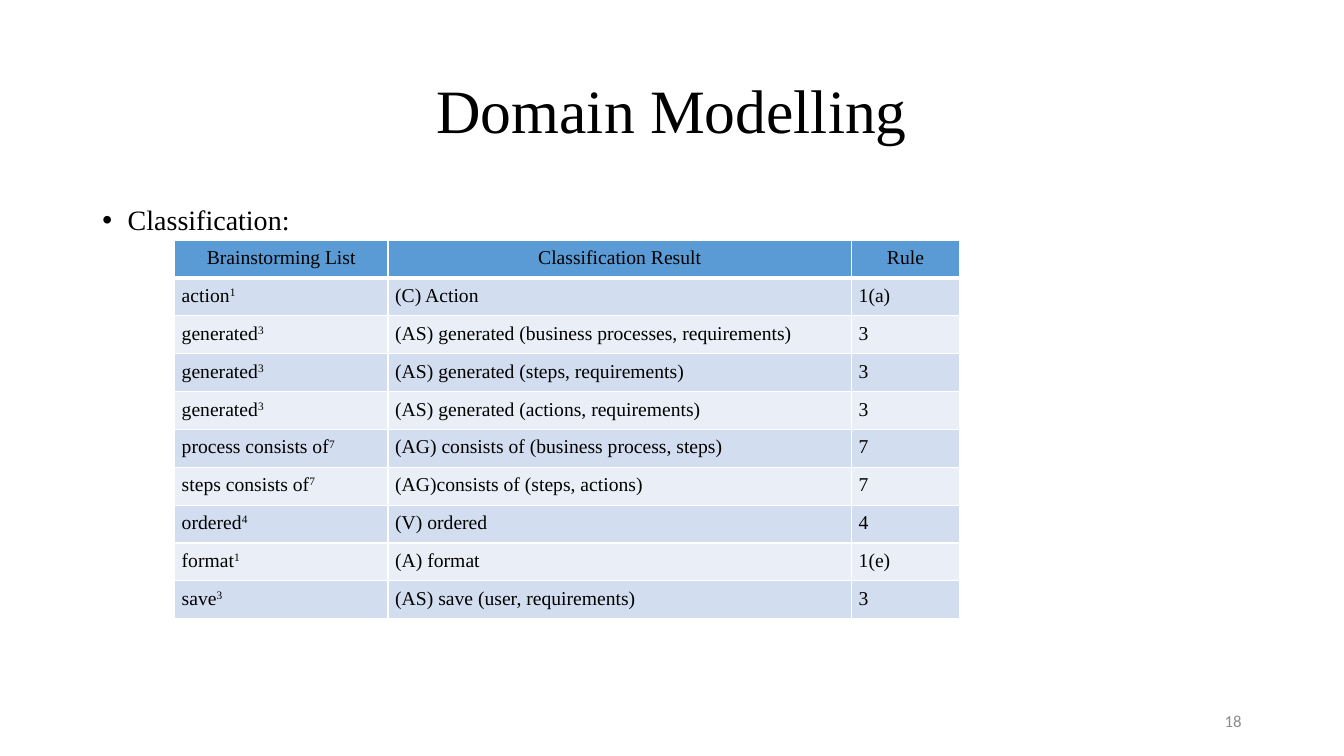
from lxml import etree
from pptx import Presentation
from pptx.enum import text as t
from pptx.dml.color import RGBColor
from pptx.oxml import ns
from pptx.util import Cm, Pt

TITLE = "Domain Modelling"
LEAD = "Classification:"
PAGE = "18"
HEADINGS = ["Brainstorming List", "Classification Result", "Rule"]
# Term, result, rule; the term's superscript is the rule's number
ROWS = [
    ("action", "(C) Action", "1(a)"),
    ("generated", "(AS) generated (business processes, requirements)", "3"),
    ("generated", "(AS) generated (steps, requirements)", "3"),
    ("generated", "(AS) generated (actions, requirements)", "3"),
    ("process consists of", "(AG) consists of (business process, steps)", "7"),
    ("steps consists of", "(AG)consists of (steps, actions)", "7"),
    ("ordered", "(V) ordered", "4"),
    ("format", "(A) format", "1(e)"),
    ("save", "(AS) save (user, requirements)", "3"),
]
COLORS = {"ink": "000000", "page": "8C8C8C", "head": "5B9BD5",
          "odd": "D2DEEF", "even": "EAEFF7", "rule": "FFFFFF"}
SERIF, SANS = "Times New Roman", "Calibri"
COLUMNS = [5.38, 11.68, 2.72]
ROW_HEIGHT = 0.92
LEFT, WIDTH = 2.33, 29.21


def write(frame, words, size=14, font=SERIF, color="ink",
          align=t.PP_ALIGN.LEFT, spacing=1.0, raised=""):
    """Fill the frame's paragraph, with an optional superscript at its end."""
    line = frame.paragraphs[0]
    line.alignment, line.line_spacing = align, spacing
    for part in filter(None, (words, raised)):
        run = line.add_run()
        run.text = part
        run.font.size, run.font.name, run.font.bold = Pt(size), font, False
        run.font.color.rgb = RGBColor.from_string(COLORS[color])
    if raised:
        run.font._element.set("baseline", "30000")
    return line


def add_borders(cell, bottom, top):
    """Draw white cell borders; they stand before the fill in the XML."""
    props = cell._tc.get_or_add_tcPr()
    sides = {"lnL": 1, "lnR": 1, "lnT": top, "lnB": bottom}
    for place, (side, width) in enumerate(sides.items()):
        border = etree.Element(ns.qn("a:" + side), w=str(Pt(width)))
        fill = etree.SubElement(border, ns.qn("a:solidFill"))
        etree.SubElement(fill, ns.qn("a:srgbClr"), val=COLORS["rule"])
        props.insert(place, border)


deck = Presentation()
deck.slide_width, deck.slide_height = Cm(33.87), Cm(19.05)
slide = deck.slides.add_slide(deck.slide_layouts[5])

# Title
title = slide.shapes.title
title.left, title.top, title.width, title.height = (
    Cm(LEFT), Cm(1.01), Cm(WIDTH), Cm(3.68))
title.text_frame.vertical_anchor = t.MSO_ANCHOR.MIDDLE
write(title.text_frame, TITLE, size=44, align=t.PP_ALIGN.CENTER, spacing=0.9)

# Bulleted lead-in
lead = slide.shapes.add_textbox(Cm(LEFT), Cm(5.07), Cm(WIDTH), Cm(1)).text_frame
lead.word_wrap = True
lead_line = write(lead, LEAD, size=20, spacing=0.9)
lead_props = lead_line._p.get_or_add_pPr()
lead_props.set("marL", str(Cm(0.64)))
lead_props.set("indent", str(-Cm(0.64)))
etree.SubElement(lead_props, ns.qn("a:buFont"), typeface="Arial")
etree.SubElement(lead_props, ns.qn("a:buChar"), char="•")

# Classification table
table = slide.shapes.add_table(
    len(ROWS) + 1, len(COLUMNS), Cm(4.4), Cm(6.05),
    Cm(sum(COLUMNS)), Cm(ROW_HEIGHT * (len(ROWS) + 1))).table
for column, width in zip(table.columns, COLUMNS):
    column.width = Cm(width)
for r, row in enumerate([HEADINGS] + ROWS):
    table.rows[r].height = Cm(ROW_HEIGHT)
    band = "head" if r == 0 else "odd" if r % 2 else "even"
    for c, words in enumerate(row):
        cell = table.cell(r, c)
        cell.margin_left = cell.margin_right = Cm(0.18)
        cell.margin_top = cell.margin_bottom = Cm(0.18)
        cell.fill.solid()
        cell.fill.fore_color.rgb = RGBColor.from_string(COLORS[band])
        add_borders(cell, bottom=3 if r == 0 else 1, top=3 if r == 1 else 1)
        write(cell.text_frame, words,
              align=t.PP_ALIGN.LEFT if r else t.PP_ALIGN.CENTER,
              raised=row[2][0] if r and c == 0 else "")

# Page number
page = slide.shapes.add_textbox(Cm(23.92), Cm(17.66), Cm(7.62), Cm(1.01)).text_frame
page.word_wrap = True
page.vertical_anchor = t.MSO_ANCHOR.MIDDLE
write(page, PAGE, size=12, font=SANS, color="page", align=t.PP_ALIGN.RIGHT)

deck.save("out.pptx")
